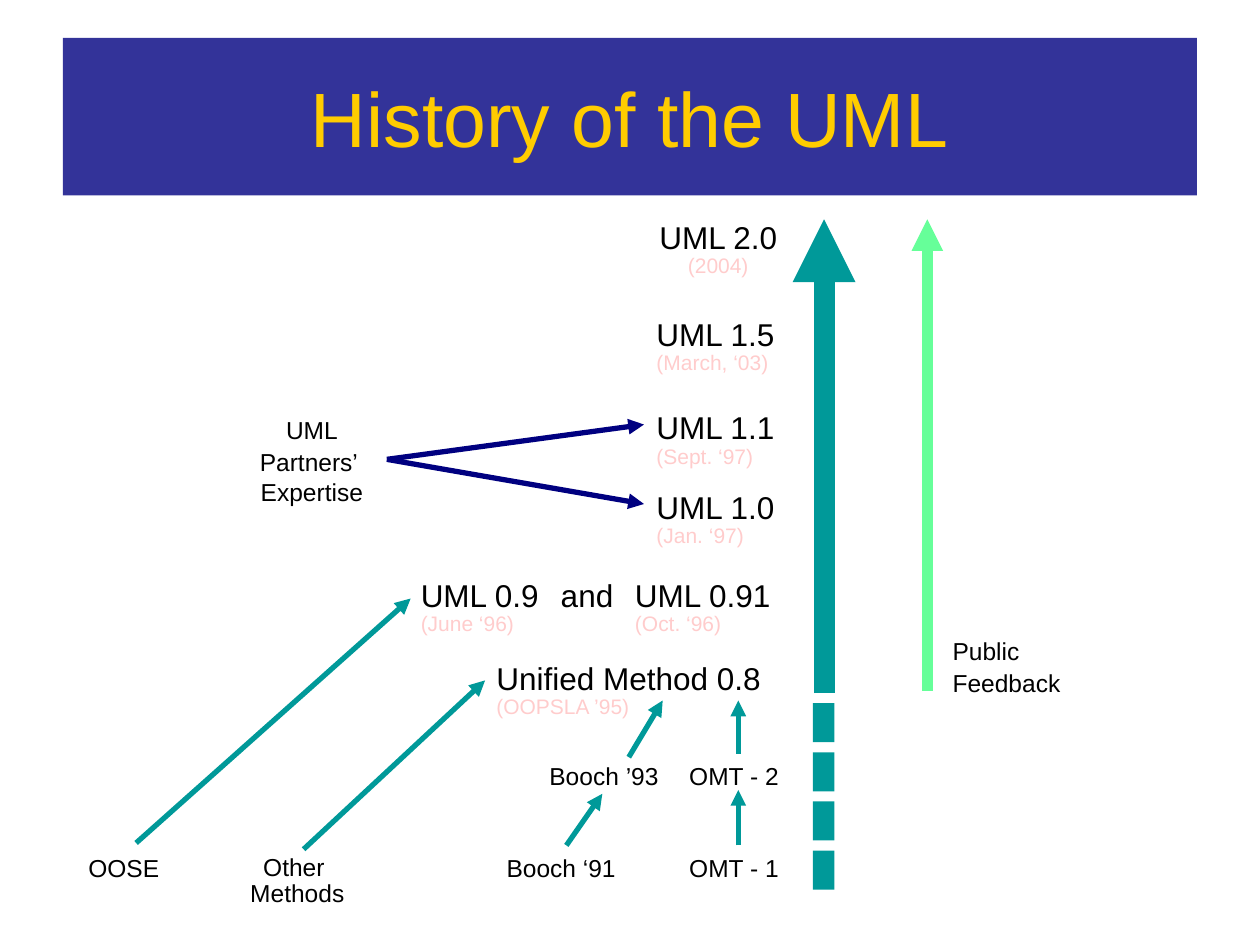
from dataclasses import dataclass

from lxml import etree
from pptx import Presentation
from pptx.dml.color import RGBColor
from pptx.enum.shapes import MSO_CONNECTOR, MSO_SHAPE
from pptx.enum.text import MSO_ANCHOR, MSO_AUTO_SIZE, PP_ALIGN
from pptx.oxml.ns import qn
from pptx.util import Pt

LEFT, MID = PP_ALIGN.LEFT, PP_ALIGN.CENTER
CENTER = MSO_ANCHOR.MIDDLE
GROW = MSO_AUTO_SIZE.SHAPE_TO_FIT_TEXT
RECT = MSO_SHAPE.RECTANGLE
LINE = MSO_CONNECTOR.STRAIGHT
TOP, RIGHT = 0, 3


@dataclass(frozen=True)
class Theme:
    font: str = "Arial"
    band: str = "333399"
    gold: str = "FFCC00"
    ink: str = "000000"
    date: str = "FFCCCC"
    navy: str = "000080"
    teal: str = "009999"
    green: str = "66FF99"
    head: int = 44
    name: int = 18
    label: int = 14
    small: int = 12


THEME = Theme()
FRAME = {
    "word_wrap": True, "auto_size": GROW,
    "margin_left": Pt(8.64), "margin_right": Pt(8.64),
    "margin_top": Pt(4.32), "margin_bottom": Pt(4.32),
}

VERSIONS = [
    (364.3, 120.2, 92.2, "UML 2.0", "(2004)", MID),
    (366.5, 175.7, 92.2, "UML 1.5", "(March, ‘03)", LEFT),
    (366.5, 229, 97.9, "UML 1.1", "(Sept. ‘97)", LEFT),
    (366.5, 274.3, 92.2, "UML 1.0", "(Jan. ‘97)", LEFT),
    (231.8, 324.7, 92.2, "UML 0.9", "(June ‘96)", LEFT),
    (354.2, 324.7, 104.4, "UML 0.91", "(Oct. ‘96)", LEFT),
    (275, 372.2, 190.1, "Unified Method 0.8", "(OOPSLA ’95)", LEFT),
]

LABELS = {
    "partners": (135.4, 232.6, 85.7, 59.8,
                 ["UML", "Partners’ ", "Expertise"], 0.5, MID),
    "other": (108.7, 482.4, 122.4, 38.2, ["Other ", "Methods"], 0.25, MID),
    "public": (535.7, 359.3, 85.7, 42.5, ["Public", "Feedback"], 0.5, LEFT),
    "oose": (41.8, 483.1, 61.2, 25.2, ["OOSE"], 1, LEFT),
    "booch91": (280.8, 483.1, 85.7, 25.2, ["Booch ‘91"], 1, LEFT),
    "booch93": (305.3, 430.6, 85.7, 25.2, ["Booch ’93"], 1, LEFT),
    "omt1": (385.2, 483.1, 73.4, 25.2, ["OMT - 1"], 1, LEFT),
    "omt2": (385.2, 430.6, 73.4, 25.2, ["OMT - 2"], 1, LEFT),
}

ARROWS = [
    (221, 265, 368, 242.6, THEME.navy, 3, "partners", RIGHT),
    (221, 265, 368, 288, THEME.navy, 3, "partners", RIGHT),
    (324.7, 486, 344.2, 453.6, THEME.teal, 3, "booch91", TOP),
    (359.3, 432.7, 378.7, 400.3, THEME.teal, 3, None, TOP),
    (421.9, 484.6, 421.9, 451.4, THEME.teal, 3, "omt1", TOP),
    (421.9, 432, 421.9, 400.3, THEME.teal, 3, "omt2", TOP),
    (173.5, 485.3, 277.2, 388.8, THEME.teal, 3, None, TOP),
    (77.8, 481.7, 234.7, 342, THEME.teal, 3, None, TOP),
    (529.9, 394.6, 529.9, 125.3, THEME.green, 6, None, TOP),
    (470.9, 396, 470.9, 125.3, THEME.teal, 12, None, TOP),
]


def rgb(code):
    return RGBColor.from_string(code)


def apply(thing, vals):
    for key, val in vals.items():
        setattr(thing, key, val)


def write(para, text, size, color, align, gap=0, space=1):
    apply(para, {"alignment": align, "space_before": Pt(gap),
                 "line_spacing": space})
    run = para.add_run()
    run.text = text
    apply(run.font, {"name": THEME.font, "size": Pt(size)})
    run.font.color.rgb = rgb(color)


def add_text(slide, x, y, w, h, lines, align):
    box = slide.shapes.add_textbox(Pt(x), Pt(y), Pt(w), Pt(h))
    frame = box.text_frame
    apply(frame, FRAME)
    for i, (text, size, color, gap, space) in enumerate(lines):
        para = frame.add_paragraph() if i else frame.paragraphs[0]
        write(para, text, size, color, align, gap, space)
    return box


def add_label(slide, x, y, w, h, texts, space, align):
    lines = [(text, THEME.label, THEME.ink, 8.8, space if i else 1)
             for i, text in enumerate(texts)]
    return add_text(slide, x, y, w, h, lines, align)


def add_version(slide, x, y, w, name, date, align):
    lines = [(name, THEME.name, THEME.ink, 11.2, 1),
             (date, THEME.small, THEME.date, 7.5, 0.25)]
    add_text(slide, x, y, w, 41, lines, align)


def add_rect(slide, x, y, w, h, color):
    rect = slide.shapes.add_shape(RECT, Pt(x), Pt(y), Pt(w), Pt(h))
    rect.shadow.inherit = False
    rect.fill.solid()
    rect.fill.fore_color.rgb = rgb(color)
    rect.line.fill.background()
    return rect


def add_title(slide, text):
    band = add_rect(slide, 36, 21.6, 648, 90, THEME.band)
    band.text_frame.vertical_anchor = CENTER
    write(band.text_frame.paragraphs[0], text, THEME.head, THEME.gold, MID)


def add_arrow(slide, x1, y1, x2, y2, color, width, box, side):
    link = slide.shapes.add_connector(LINE, Pt(x1), Pt(y1), Pt(x2), Pt(y2))
    if box:
        link.begin_connect(box, side)
    link.line.width = Pt(width)
    link.line.color.rgb = rgb(color)
    tip = etree.SubElement(link.line._get_or_add_ln(), qn("a:tailEnd"))
    tip.set("type", "triangle")
    etree.SubElement(link._element.spPr, qn("a:effectLst"))


def main():
    deck = Presentation()
    deck.slide_width, deck.slide_height = Pt(720), Pt(540)
    slide = deck.slides.add_slide(deck.slide_layouts[6])
    add_title(slide, "History of the UML")
    for item in VERSIONS:
        add_version(slide, *item)
    add_text(slide, 311.8, 324.7, 55.4, 30.2,
             [("and", THEME.name, THEME.ink, 11.2, 1)], LEFT)
    boxes = {key: add_label(slide, *item) for key, item in LABELS.items()}
    for *ends, key, side in ARROWS:
        add_arrow(slide, *ends, boxes.get(key), side)
    for i in range(4):
        add_rect(slide, 464.6, 401.8 + 28.1 * i, 12.2, 22.3, THEME.teal)
    deck.save("out.pptx")


if __name__ == "__main__":
    main()
